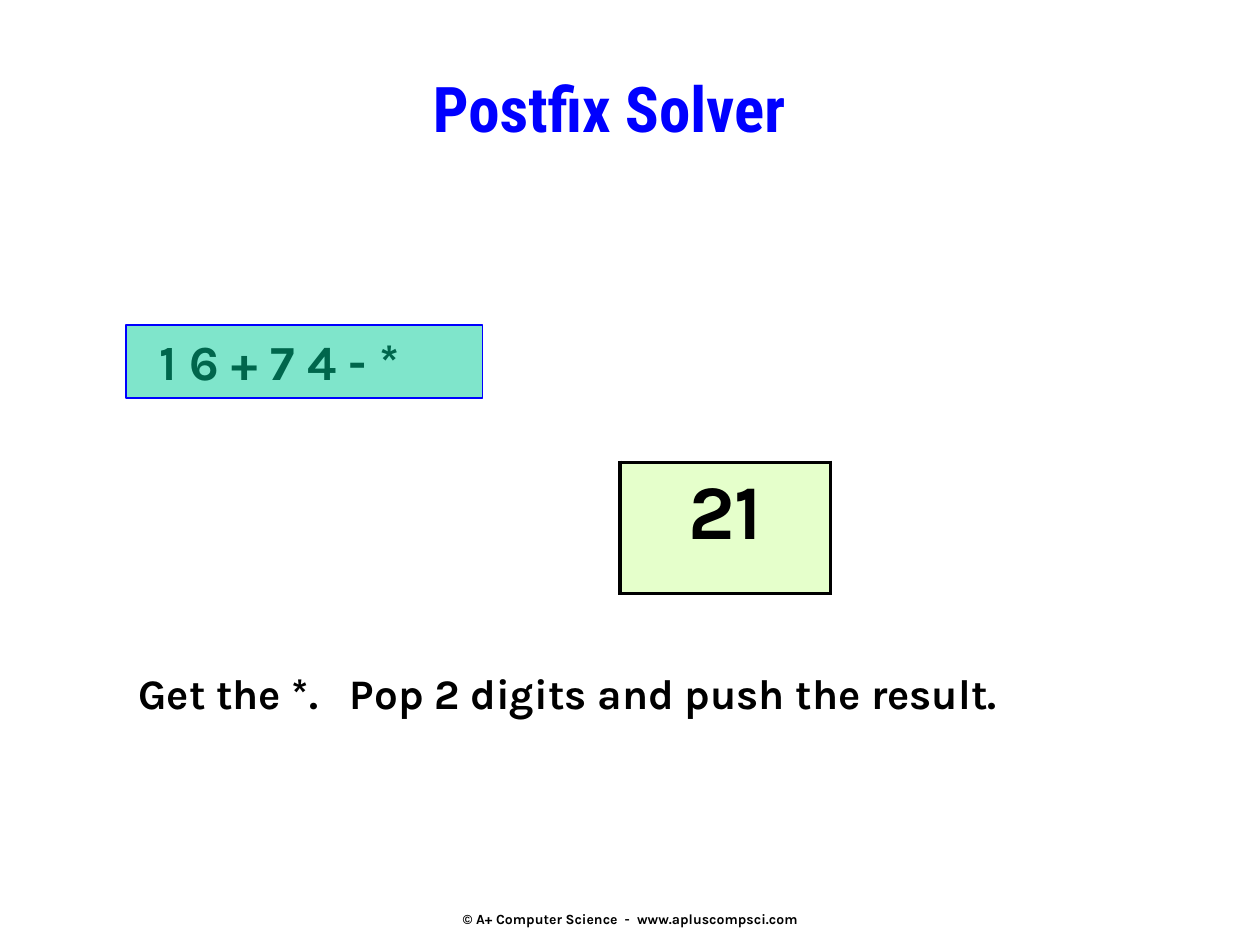
from dataclasses import dataclass

from lxml import etree
from pptx import Presentation
from pptx.dml.color import RGBColor
from pptx.enum import shapes, text
from pptx.oxml import ns
from pptx.util import Inches, Pt


@dataclass(frozen=True)
class Theme:
    body_font: str = "Karla"
    title_font: str = "Roboto Condensed"
    ink: str = "000000"
    blue: str = "0000FF"
    title_edge: str = "CCFFFF"
    teal: str = "00CC99"
    lime: str = "CCFF99"
    footer_size: int = 8
    note_size: int = 24
    expression_size: int = 28
    title_size: int = 36
    value_size: int = 44


def add_solid_line(parent, tag, color, width):
    line = etree.SubElement(parent, ns.qn(tag), w=str(Pt(width)))
    fill = etree.SubElement(line, ns.qn("a:solidFill"))
    etree.SubElement(fill, ns.qn("a:srgbClr"), val=color)
    return line


def fill_half_clear(owner, color):
    """Fill a shape or cell with a colour at 50% opacity."""
    owner.fill.solid()
    owner.fill.fore_color.rgb = RGBColor.from_string(color)
    holder = owner._tc.tcPr if hasattr(owner, "_tc") else owner._element.spPr
    color_node = holder.find(ns.qn("a:solidFill")).find(ns.qn("a:srgbClr"))
    etree.SubElement(color_node, ns.qn("a:alpha"), val="50000")


def write_text(frame, words, *, size, font, color, align=None, edge=None):
    para = frame.paragraphs[0]
    para.alignment = align
    span = para.add_run()
    span.text = words
    span.font.size = Pt(size)
    span.font.name = font
    span.font.bold = True
    span.font.color.rgb = RGBColor.from_string(color)
    if edge:
        properties = span.font._element
        properties.insert(0, add_solid_line(properties, "a:ln", edge, 0.75))


class SlideBuilder:
    def __init__(self, page, theme):
        self.page = page
        self.theme = theme

    def label(self, words, area, *, size, font=None, color=None,
              anchor=text.MSO_ANCHOR.TOP, **style):
        box = self.page.shapes.add_textbox(*map(Inches, area))
        frame = box.text_frame
        frame.word_wrap = True
        frame.vertical_anchor = anchor
        write_text(frame, words, size=size, font=font or self.theme.body_font,
                   color=color or self.theme.ink, **style)

    def overlay(self, area):
        box = self.page.shapes.add_shape(
            shapes.MSO_SHAPE.RECTANGLE, *map(Inches, area))
        box.shadow.inherit = False
        fill_half_clear(box, self.theme.teal)
        box.line.color.rgb = RGBColor.from_string(self.theme.blue)
        box.line.width = Pt(0.75)

    def stack(self, value, area):
        """Draw the stack as a one-cell table."""
        table = self.page.shapes.add_table(1, 1, *map(Inches, area)).table
        table.first_row = table.horz_banding = False
        cell = table.cell(0, 0)
        write_text(cell.text_frame, value, size=self.theme.value_size,
                   font=self.theme.body_font, color=self.theme.ink,
                   align=text.PP_ALIGN.CENTER)
        properties = cell._tc.get_or_add_tcPr()
        for side in ("a:lnL", "a:lnR", "a:lnT", "a:lnB"):
            add_solid_line(properties, side, self.theme.ink, 2.25)
        fill_half_clear(cell, self.theme.lime)


def main():
    deck = Presentation()
    deck.slide_width, deck.slide_height = Inches(10), Inches(7.5)
    theme = Theme()
    slide = SlideBuilder(deck.slides.add_slide(deck.slide_layouts[6]), theme)
    center = text.PP_ALIGN.CENTER

    slide.label("© A+ Computer Science  -  www.apluscompsci.com",
                (3.42, 7.04, 3.17, 0.5), size=theme.footer_size,
                align=center, anchor=text.MSO_ANCHOR.MIDDLE)
    slide.label("Get the *.   Pop 2 digits and push the result.",
                (1, 5.25, 7.75, 0.5), size=theme.note_size)
    slide.label("Postfix Solver", (1.25, 0.5, 7.17, 0.83),
                size=theme.title_size, font=theme.title_font,
                color=theme.blue, align=center, edge=theme.title_edge)
    slide.label("1 6 + 7 4 - *", (1.17, 2.58, 2.62, 0.57),
                size=theme.expression_size)
    slide.overlay((1, 2.58, 2.83, 0.58))
    slide.stack("21", (4.92, 3.67, 1.67, 1.04))
    deck.save("out.pptx")


if __name__ == "__main__":
    main()
